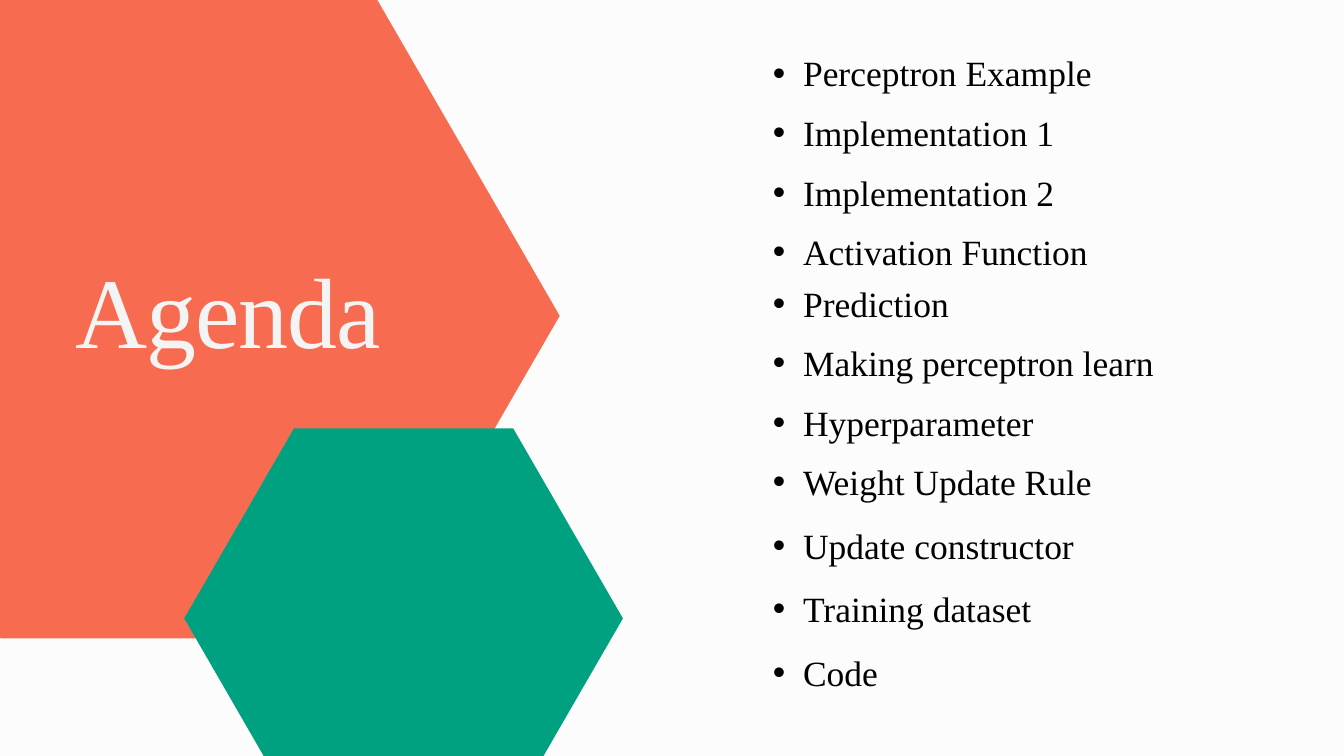
"""Build the agenda slide with two hexagons and a list of topics."""
import math
from dataclasses import dataclass

from lxml import etree
from pptx import Presentation
from pptx.dml.color import RGBColor
from pptx.enum import text
from pptx.oxml import ns
from pptx.util import Pt


@dataclass(frozen=True)
class Theme:
    paper: str = "FCFCFC"
    coral: str = "F76B50"
    green: str = "00A181"
    title_ink: str = "F4F4F4"
    list_ink: str = "000000"
    font: str = "Times New Roman"
    title_size: float = 107
    list_size: float = 38


theme = Theme()


def apply_format(target, values):
    for name, value in values.items():
        setattr(target, name, value)


def write_line(para, words, size, ink, spacing):
    apply_format(para, {"alignment": text.PP_ALIGN.LEFT, "line_spacing": Pt(spacing), "space_after": Pt(0)})
    span = para.add_run()
    apply_format(span, {"text": words})
    apply_format(span.font, {"name": theme.font, "size": Pt(size)})
    span.font.color.rgb = RGBColor.from_string(ink)
    return span


deck = Presentation()
apply_format(deck, {"slide_width": Pt(1440), "slide_height": Pt(810)})
page = deck.slides.add_slide(deck.slide_layouts[1])
page.background.fill.solid()
page.background.fill.fore_color.rgb = RGBColor.from_string(theme.paper)

hexagons = [
    (200.5, 338.4, 399.2, theme.coral),
    (432.4, 662.6, 235, theme.green),
]
for center_x, center_y, radius, color in hexagons:
    corners = [
        (Pt(center_x + radius * math.cos(turn * math.pi / 3)), Pt(center_y + radius * math.sin(turn * math.pi / 3)))
        for turn in range(6)
    ]
    builder = page.shapes.build_freeform(*corners[0])
    builder.add_line_segments(corners[1:], close=True)
    hexagon = builder.convert_to_shape()
    hexagon.shadow.inherit = False
    hexagon.fill.solid()
    hexagon.fill.fore_color.rgb = RGBColor.from_string(color)
    hexagon.line.fill.background()

title = page.shapes.title
body = page.placeholders[1]
frames = [
    (title, (80.6, 266.4, 351.4, 144.7)),
    (body, (795.6, 47.5, 481, 700)),
]
for box, (left, top, width, height) in frames:
    apply_format(box, {"left": Pt(left), "top": Pt(top), "width": Pt(width), "height": Pt(height)})
    apply_format(box.text_frame, {
        "margin_left": 0, "margin_top": 0, "margin_right": 0, "margin_bottom": 0,
        "word_wrap": True, "auto_size": text.MSO_AUTO_SIZE.NONE,
        "vertical_anchor": text.MSO_ANCHOR.TOP,
    })
    box.element.getparent().append(box.element)

heading = write_line(title.text_frame.paragraphs[0], "Agenda", theme.title_size, theme.title_ink, 128.4)
heading.font._element.set("spc", "-110")

topics = [
    ("Perceptron Example", 0),
    ("Implementation 1", 11),
    ("Implementation 2", 10.4),
    ("Activation Function", 10.2),
    ("Prediction", 2.2),
    ("Making perceptron learn", 10.6),
    ("Hyperparameter", 10.4),
    ("Weight Update Rule", 10.6),
    ("Update constructor", 14.8),
    ("Training dataset", 15.2),
    ("Code", 15.2),
]
for index, (topic, gap) in enumerate(topics):
    para = body.text_frame.add_paragraph() if index else body.text_frame.paragraphs[0]
    write_line(para, topic, theme.list_size, theme.list_ink, 53.2)
    para.space_before = Pt(gap)
    properties = para._p.get_or_add_pPr()
    properties.set("marL", str(Pt(64.8)))
    properties.set("indent", str(Pt(-32.4)))
    etree.SubElement(properties, ns.qn("a:buFont")).set("typeface", "Arial")
    etree.SubElement(properties, ns.qn("a:buChar")).set("char", "•")

deck.save("out.pptx")
